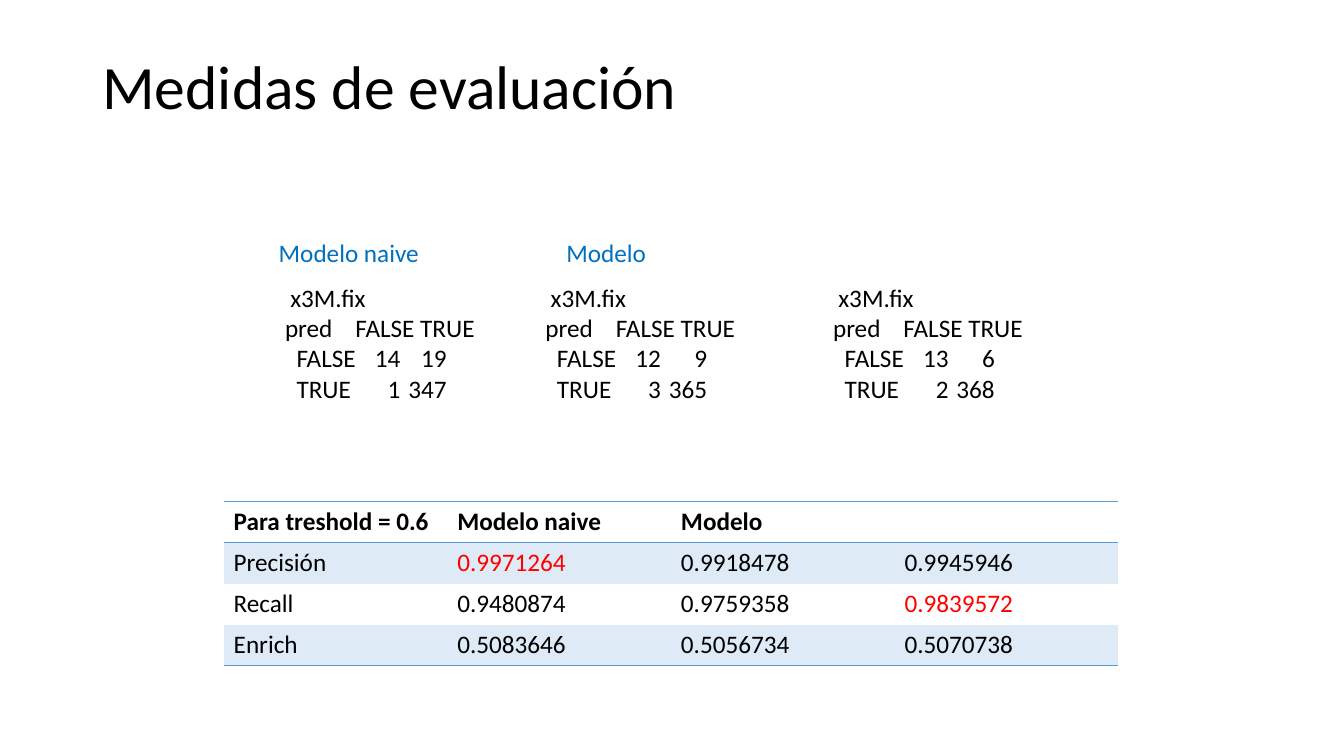
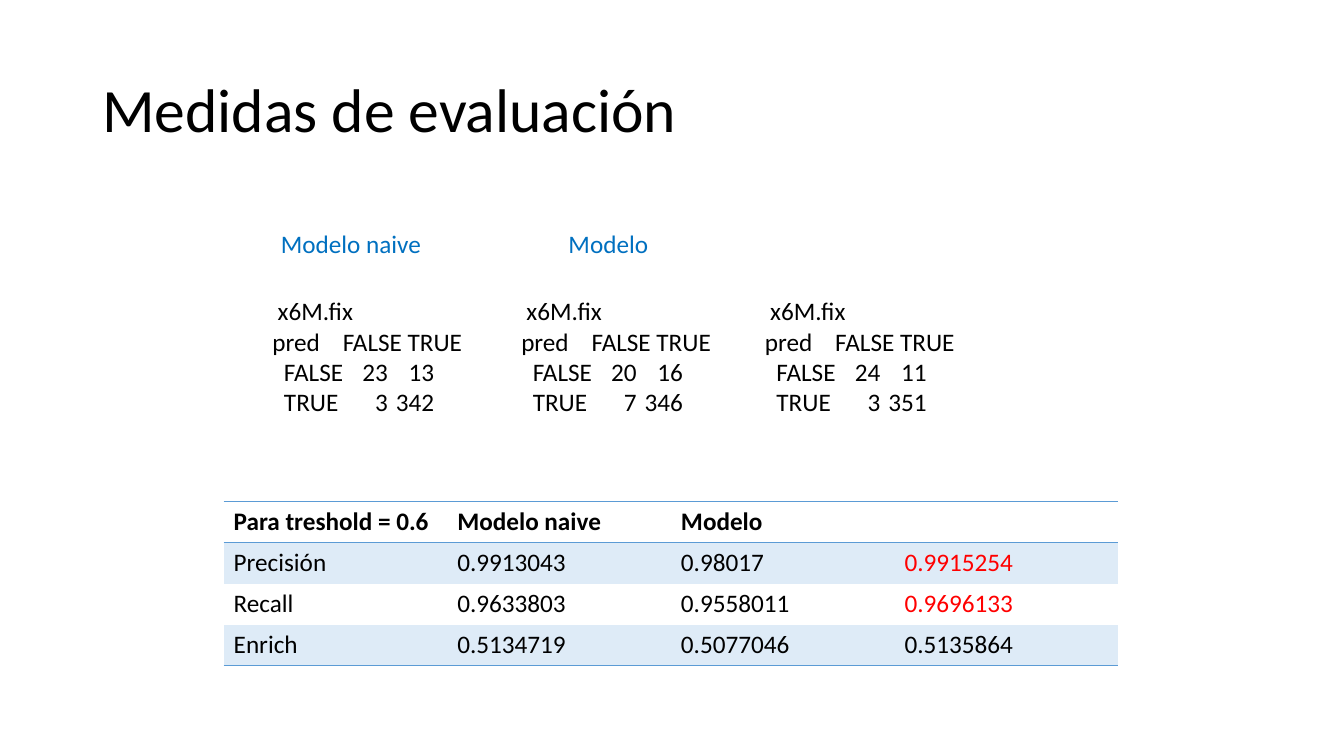
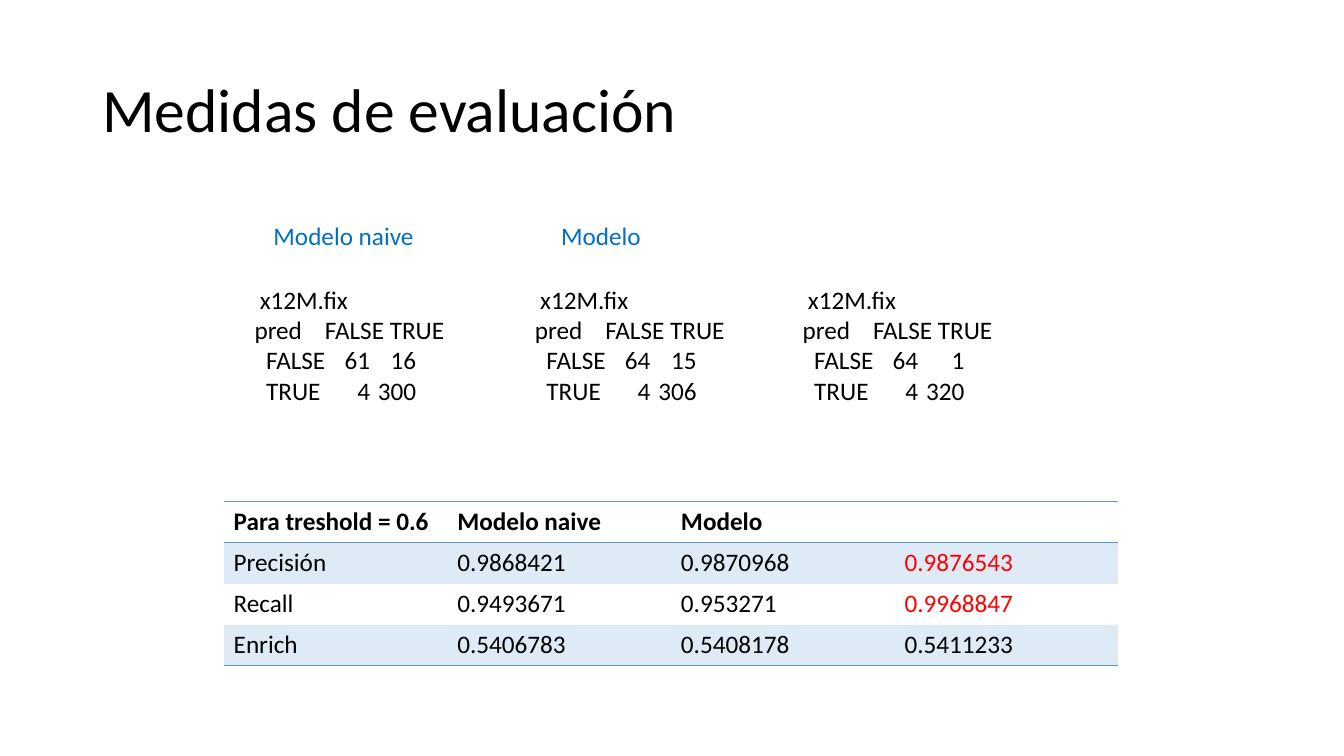
from lxml import etree
from pptx import Presentation
from pptx import util as u
from pptx.dml.color import RGBColor
from pptx.enum import text
from pptx.oxml import ns

PX = 9525
FONT = "Calibri"
BLACK = RGBColor(0x00, 0x00, 0x00)
BLUE = RGBColor(0x00, 0x70, 0xC0)
RED = RGBColor(0xFF, 0x00, 0x00)
RULE = RGBColor(0x5B, 0x9B, 0xD5)
BAND = RGBColor(0xDE, 0xEB, 0xF7)
NO_GRID = "{2D5ABB26-0587-4C30-8999-92F81FD0307C}"

HEADINGS = ["Para treshold = 0.6", "Modelo naive", "Modelo", ""]
MEASURES = ["Precisión", "Recall", "Enrich"]
COLUMN, ROW = 213, 39
VARIABLE_STOPS = [(5, "l")]
HEADER_STOPS = [(67, "l")]
COUNT_STOPS = [(11, "l"), (110, "r"), (154, "r")]

EVALUATIONS = [
    dict(
        variable="x3M.fix", title=(574, 94), labels=(256, 221),
        lefts=[262, 510, 784], top=264,
        counts=[(14, 19, 1, 347), (12, 9, 3, 365), (13, 6, 2, 368)],
        values=[["0.9971264", "0.9918478", "0.9945946"],
                ["0.9480874", "0.9759358", "0.9839572"],
                ["0.5083646", "0.5056734", "0.5070738"]],
        best=["0.9971264", "0.9839572"],
    ),
    dict(
        variable="x6M.fix", title=(1104, 139), labels=(258, 213),
        lefts=[250, 487, 719], top=277,
        counts=[(23, 13, 3, 342), (20, 16, 7, 346), (24, 11, 3, 351)],
        values=[["0.9913043", "0.98017", "0.9915254"],
                ["0.9633803", "0.9558011", "0.9696133"],
                ["0.5134719", "0.5077046", "0.5135864"]],
        best=["0.9915254", "0.9696133"],
    ),
    dict(
        variable="x12M.fix", title=(1104, 139), labels=(251, 205),
        lefts=[233, 500, 755], top=266,
        counts=[(61, 16, 4, 300), (64, 15, 4, 306), (64, 1, 4, 320)],
        values=[["0.9868421", "0.9870968", "0.9876543"],
                ["0.9493671", "0.953271", "0.9968847"],
                ["0.5406783", "0.5408178", "0.5411233"]],
        best=["0.9876543", "0.9968847"],
    ),
]


def write(para, words, size=18, color=BLACK, bold=False, spacing=None, stops=()):
    span = para.add_run()
    span.text = words
    span.font.name = FONT
    span.font.size = u.Pt(size)
    span.font.bold = bold
    span.font.color.rgb = color
    if spacing:
        para.line_spacing = spacing
    if stops:
        tabs = etree.SubElement(para._p.get_or_add_pPr(), ns.qn("a:tabLst"))
        for position, align in stops:
            etree.SubElement(tabs, ns.qn("a:tab"), pos=str(position * PX), algn=align)


def add_box(page, left, top, width, height):
    box = page.shapes.add_textbox(left * PX, top * PX, width * PX, height * PX)
    box.text_frame.word_wrap = True
    return box.text_frame


deck = Presentation()
deck.slide_width = 1280 * PX
deck.slide_height = 720 * PX

for evaluation in EVALUATIONS:
    page = deck.slides.add_slide(deck.slide_layouts[6])

    title = add_box(page, 88, 38, *evaluation["title"])
    title.vertical_anchor = text.MSO_ANCHOR.MIDDLE
    write(title.paragraphs[0], "Medidas de evaluación", size=44, spacing=0.9)

    left, top = evaluation["labels"]
    for label, offset, width in [("Modelo naive", 0, 228), ("Modelo", 274, 101)]:
        box = add_box(page, left + offset, top, width, 39)
        write(box.paragraphs[0], label, color=BLUE)

    for left, counts in zip(evaluation["lefts"], evaluation["counts"]):
        matrix = add_box(page, left, evaluation["top"], 208, 126)
        lines = [
            (f"\t{evaluation['variable']}", VARIABLE_STOPS),
            ("pred\tFALSE TRUE", HEADER_STOPS),
            (f"\tFALSE\t{counts[0]}\t{counts[1]}", COUNT_STOPS),
            (f"\tTRUE\t{counts[2]}\t{counts[3]}", COUNT_STOPS),
        ]
        for index, (line, stops) in enumerate(lines):
            para = matrix.add_paragraph() if index else matrix.paragraphs[0]
            write(para, line, stops=stops)

    rows = [HEADINGS]
    rows += [[name] + values for name, values in zip(MEASURES, evaluation["values"])]
    frame = page.shapes.add_table(
        len(rows), len(HEADINGS), COLUMN * PX, 478 * PX,
        len(HEADINGS) * COLUMN * PX, len(rows) * ROW * PX)
    next(frame.element.iter(ns.qn("a:tableStyleId"))).text = NO_GRID
    borders = {0: ["a:lnT", "a:lnB"], len(rows) - 1: ["a:lnB"]}

    for row, values in enumerate(rows):
        for column, value in enumerate(values):
            cell = frame.table.cell(row, column)
            if row % 2:
                cell.fill.solid()
                cell.fill.fore_color.rgb = BAND
            else:
                cell.fill.background()
            if value:
                color = RED if value in evaluation["best"] else BLACK
                write(cell.text_frame.paragraphs[0], value, color=color, bold=row == 0)
            for index, side in enumerate(borders.get(row, [])):
                line = etree.Element(ns.qn(side), w=str(u.Pt(1)))
                fill = etree.SubElement(line, ns.qn("a:solidFill"))
                etree.SubElement(fill, ns.qn("a:srgbClr"), val=str(RULE))
                cell._tc.get_or_add_tcPr().insert(index, line)

deck.save("out.pptx")
